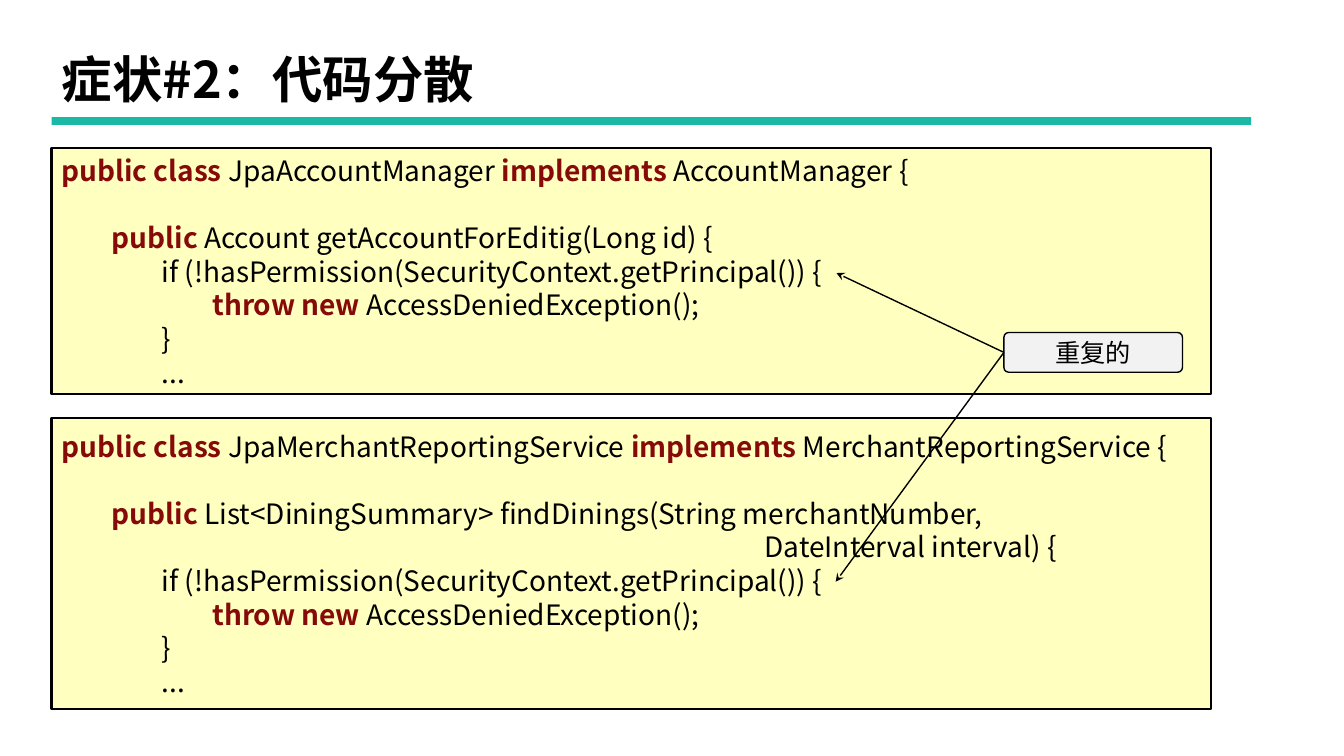
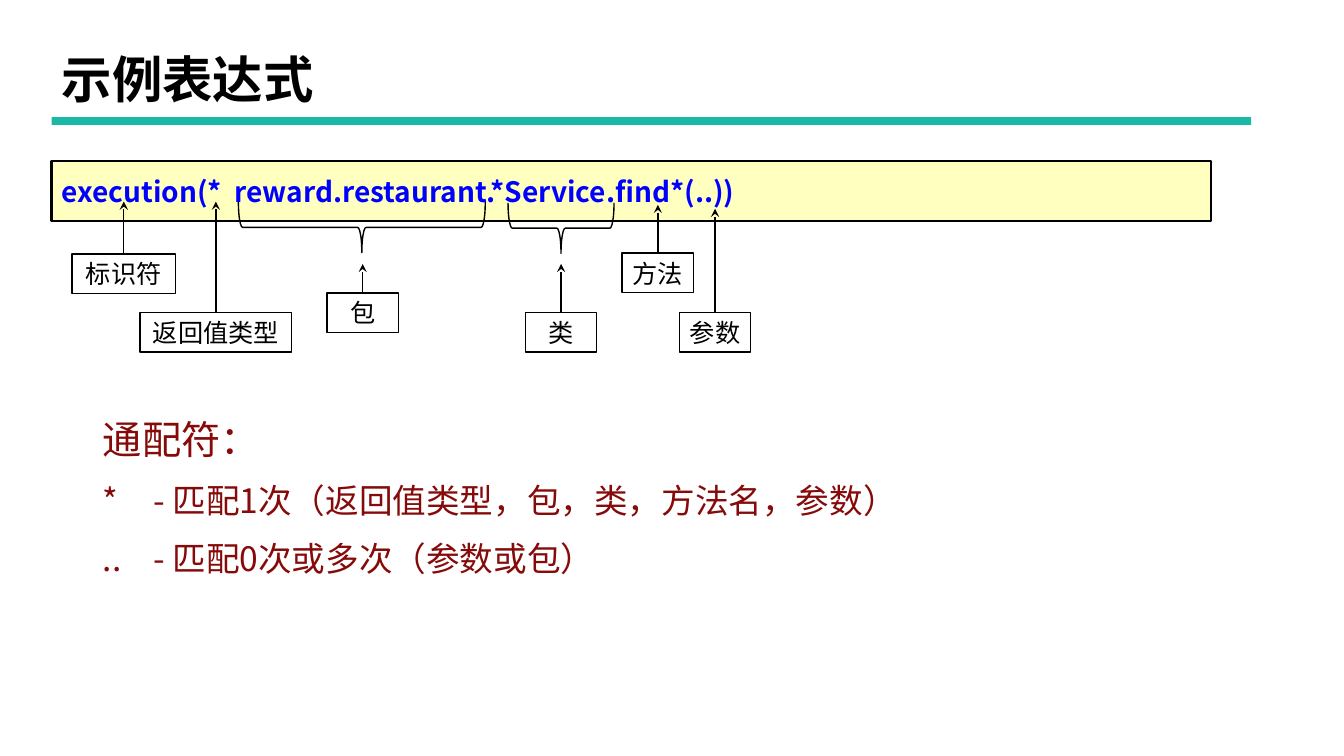
from lxml import etree
from pptx import Presentation
from pptx.dml.color import RGBColor
from pptx.enum import shapes, text
from pptx.oxml.ns import qn
from pptx.util import Cm, Pt

BLACK = RGBColor(0x00, 0x00, 0x00)
TEAL = RGBColor(0x1A, 0xB9, 0xA5)
CREAM = RGBColor(0xFF, 0xFF, 0xC0)
LIGHT_GRAY = RGBColor(0xF2, 0xF2, 0xF2)
DARK_RED = RGBColor(0x85, 0x0A, 0x09)
BLUE = RGBColor(0x00, 0x00, 0xFF)
FONT = "Noto Sans CJK SC"
LEFT = Cm(1.3)
CONTENT_WIDTH = Cm(29.21)
CODE_SPACING = Pt(24)
RECTANGLE = shapes.MSO_SHAPE.RECTANGLE


def write(shape, content, *, size, color=BLACK, bold=False, align=text.PP_ALIGN.LEFT,
          spacing=None, before=None, tab=None):
    frame = shape.text_frame
    paragraph = frame.add_paragraph() if frame.text else frame.paragraphs[0]
    if tab is not None:
        properties = paragraph._p.get_or_add_pPr()
        properties.set("marL", "0")
        properties.set("indent", "0")
        etree.SubElement(properties, qn("a:buNone"))
        tabs = etree.SubElement(properties, qn("a:tabLst"))
        etree.SubElement(tabs, qn("a:tab"), pos=str(tab), algn="l")
    paragraph.alignment = align
    paragraph.line_spacing = spacing
    paragraph.space_before = before
    for index, part in enumerate(content.split("|")):
        if not part:
            continue
        keyword = index % 2 == 1
        run = paragraph.add_run()
        run.text = part
        run.font.size = Pt(size)
        run.font.bold = bold or keyword
        run.font.color.rgb = DARK_RED if keyword else color
        run.font.name = FONT
        etree.SubElement(run._r.get_or_add_rPr(), qn("a:ea"), typeface=FONT)


def add_box(slide, preset, left, top, width, height, *, fill=None, line=1):
    shape = slide.shapes.add_shape(preset, left, top, width, height)
    shape.shadow.inherit = False
    if fill is None:
        shape.fill.background()
    else:
        shape.fill.solid()
        shape.fill.fore_color.rgb = fill
    if line:
        shape.line.color.rgb = BLACK
        shape.line.width = Pt(line)
    else:
        shape.line.fill.background()
    shape.text_frame.vertical_anchor = text.MSO_ANCHOR.MIDDLE
    return shape


presentation = Presentation()
presentation.slide_width = Cm(33.87)
presentation.slide_height = Cm(19.05)
master = presentation.slide_master
master_title = master.placeholders[0]
master_title.left, master_title.top = LEFT, Cm(1)
master_title.width, master_title.height = CONTENT_WIDTH, Cm(2.13)
master_title.text_frame.auto_size = text.MSO_AUTO_SIZE.NONE

scatter_slide = presentation.slides.add_slide(presentation.slide_layouts[5])
example_slide = presentation.slides.add_slide(presentation.slide_layouts[1])
for slide, title in ((scatter_slide, "症状#2：代码分散"), (example_slide, "示例表达式")):
    write(slide.shapes.title, title, size=36, bold=True, spacing=0.9)

band = add_box(scatter_slide, RECTANGLE, LEFT, Cm(2.95), Cm(30.23), Cm(0.2), fill=TEAL, line=0)
master.shapes.element.append(band.element)

permission_check = [
    "                if (!hasPermission(SecurityContext.getPrincipal()) {",
    "                        |throw new| AccessDeniedException();",
    "                }",
    "                ...",
]
listings = [
    (3.73, 6.2, [
        "|public class |JpaAccountManager |implements |AccountManager {",
        "        |public |Account getAccountForEditig(Long id) {",
    ]),
    (10.54, 7.32, [
        "|public class |JpaMerchantReportingService |implements |MerchantReportingService {",
        "        |public |List<DiningSummary> findDinings(String merchantNumber,",
        " " * 112 + "DateInterval interval) {",
    ]),
]
for top, height, declaration in listings:
    code_box = add_box(scatter_slide, RECTANGLE, LEFT, Cm(top), CONTENT_WIDTH, Cm(height),
                       fill=CREAM, line=1.5)
    for number, code in enumerate(declaration + permission_check):
        write(code_box, code, size=20, spacing=CODE_SPACING,
              before=CODE_SPACING if number == 1 else None)

duplicate_box = add_box(scatter_slide, shapes.MSO_SHAPE.ROUNDED_RECTANGLE,
                        Cm(25.3), Cm(8.38), Cm(4.5), Cm(1), fill=LIGHT_GRAY)
duplicate_box.adjustments[0] = 0.12
write(duplicate_box, "重复的", size=18, align=text.PP_ALIGN.CENTER)
arrows = [
    (scatter_slide, duplicate_box, 1, Cm(21.08), Cm(6.88)),
    (scatter_slide, duplicate_box, 1, Cm(21.06), Cm(14.66)),
]

wildcards = example_slide.placeholders[1]
wildcards.left, wildcards.top = Cm(2.34), Cm(10.21)
wildcards.width, wildcards.height = CONTENT_WIDTH, Cm(4.52)
wildcards.text_frame.auto_size = text.MSO_AUTO_SIZE.NONE
write(wildcards, "通配符：", size=28, color=DARK_RED, spacing=1.1, before=Pt(0), tab=Cm(1.54))
for rule in ("*\t- 匹配1次（返回值类型，包，类，方法名，参数）", "..\t- 匹配0次或多次（参数或包）"):
    write(wildcards, rule, size=24, color=DARK_RED, spacing=1.1, before=Pt(10), tab=Cm(1.54))

expression_box = add_box(example_slide, RECTANGLE, LEFT, Cm(4.06), CONTENT_WIDTH, Cm(1.5),
                         fill=CREAM, line=1.5)
write(expression_box, "execution(*  reward.restaurant.*Service.find*(..))",
      size=20, color=BLUE, bold=True, spacing=CODE_SPACING)

brace_depth = 1.27
for center, middle, span in ((9.12, 5.73, 6.22), (14.14, 5.75, 2.67)):
    brace = add_box(example_slide, shapes.MSO_SHAPE.LEFT_BRACE, Cm(center - brace_depth / 2),
                    Cm(middle - span / 2), Cm(brace_depth), Cm(span))
    brace.rotation = 270

labels = [
    ("标识符", 3.12, 6.4, 2.6, 5.08),
    ("返回值类型", 5.44, 7.87, 3.82, 5.08),
    ("包", 9.14, 7.38, 1.8, 6.65),
    ("类", 14.14, 7.87, 1.8, 6.65),
    ("方法", 16.58, 6.38, 1.8, 5.16),
    ("参数", 18.02, 7.87, 1.8, 5.26),
]
for name, center, top, width, tip in labels:
    label = add_box(example_slide, RECTANGLE, Cm(center - width / 2), Cm(top), Cm(width), Cm(1))
    write(label, name, size=18, align=text.PP_ALIGN.CENTER)
    arrows.append((example_slide, label, 0, Cm(center), Cm(tip)))

for slide, source, side, tip_x, tip_y in arrows:
    arrow = slide.shapes.add_connector(shapes.MSO_CONNECTOR.STRAIGHT,
                                       source.left, source.top, tip_x, tip_y)
    arrow.begin_connect(source, side)
    arrow.line.color.rgb = BLACK
    arrow.line.width = Pt(1)
    properties = arrow.element.spPr
    etree.SubElement(properties.find(qn("a:ln")), qn("a:tailEnd"), type="stealth")
    etree.SubElement(properties, qn("a:effectLst"))

presentation.save("out.pptx")
